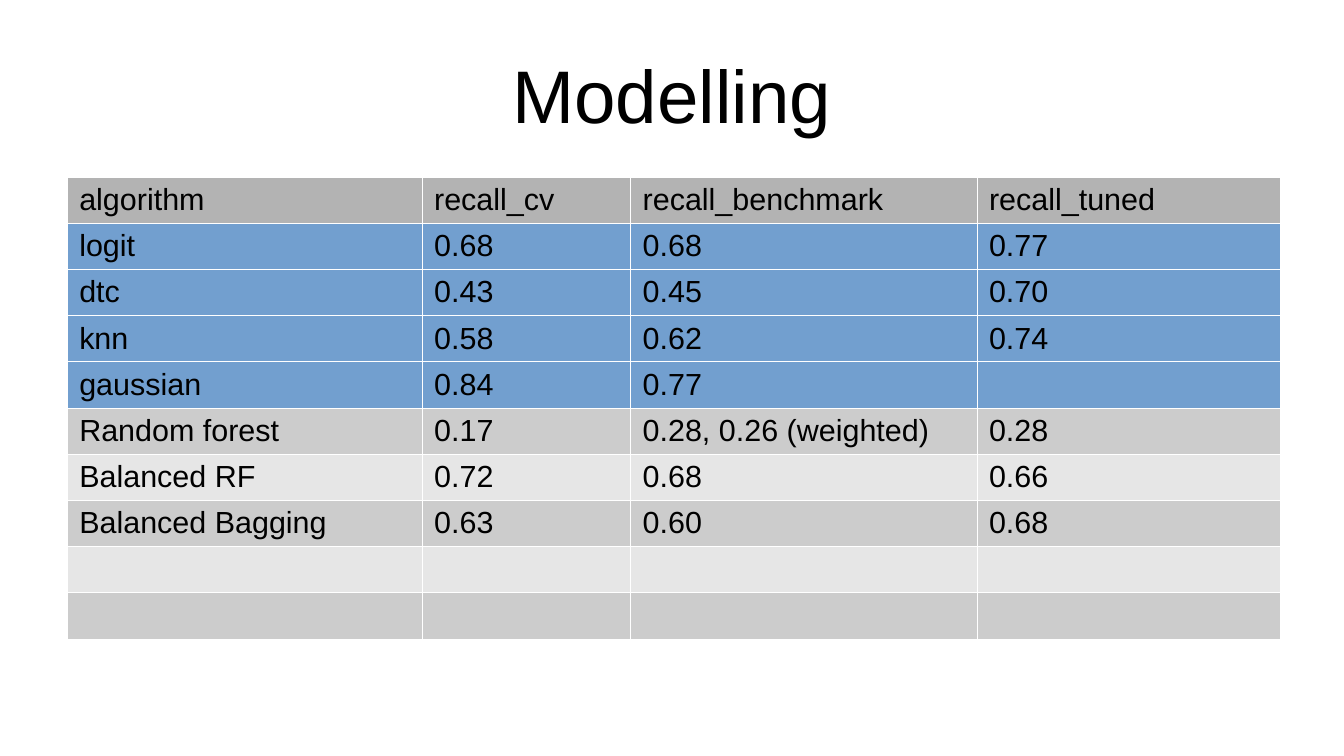
from lxml import etree
from pptx import Presentation
from pptx import util as u
from pptx.dml.color import RGBColor
from pptx.enum import text
from pptx.oxml.ns import qn

HEADER, BLUE, GREY, LIGHT = "B3B3B3", "729FCF", "CCCCCC", "E6E6E6"
BLACK, WHITE = "000000", "FFFFFF"
FONT, BODY_SIZE = "Arial", 18

COLUMN_WIDTHS = [2.91, 1.71, 2.84, 2.49]
RESULTS = [
    (HEADER, ["algorithm", "recall_cv", "recall_benchmark", "recall_tuned"]),
    (BLUE, ["logit", "0.68", "0.68", "0.77"]),
    (BLUE, ["dtc", "0.43", "0.45", "0.70"]),
    (BLUE, ["knn", "0.58", "0.62", "0.74"]),
    (BLUE, ["gaussian", "0.84", "0.77", ""]),
    (GREY, ["Random forest", "0.17", "0.28, 0.26 (weighted)", "0.28"]),
    (LIGHT, ["Balanced RF", "0.72", "0.68", "0.66"]),
    (GREY, ["Balanced Bagging", "0.63", "0.60", "0.68"]),
    (LIGHT, [""] * 4),
    (GREY, [""] * 4),
]


def colour(hex_string):
    return RGBColor.from_string(hex_string)


def write(frame, words, size=BODY_SIZE, align=text.PP_ALIGN.LEFT):
    paragraph = frame.paragraphs[0]
    paragraph.alignment = align
    if not words:
        # Keep the line height of an empty cell equal to its neighbours
        end = etree.SubElement(paragraph._p, qn("a:endParaRPr"), sz=str(size * 100))
        etree.SubElement(end, qn("a:latin"), typeface=FONT)
        return
    run = paragraph.add_run()
    run.text = words
    run.font.name = FONT
    run.font.size = u.Pt(size)
    run.font.color.rgb = colour(BLACK)


def border(cell, hex_string, width):
    properties = cell._tc.get_or_add_tcPr()
    for position, side in enumerate(("lnL", "lnR", "lnT", "lnB")):
        line = etree.Element(qn(f"a:{side}"), w=str(u.Pt(width)))
        fill = etree.SubElement(line, qn("a:solidFill"))
        etree.SubElement(fill, qn("a:srgbClr"), val=hex_string)
        properties.insert(position, line)


def add_title(slide, words, left, top, width, height):
    title = slide.shapes.title
    title.left, title.top = u.Inches(left), u.Inches(top)
    title.width, title.height = u.Inches(width), u.Inches(height)
    frame = title.text_frame
    frame.margin_left = frame.margin_right = frame.margin_top = frame.margin_bottom = 0
    frame.vertical_anchor = text.MSO_ANCHOR.MIDDLE
    write(frame, words, size=44, align=text.PP_ALIGN.CENTER)


def add_results(slide, left, top, width, height):
    table = slide.shapes.add_table(
        len(RESULTS), len(COLUMN_WIDTHS),
        u.Inches(left), u.Inches(top), u.Inches(width), u.Inches(height)).table
    for column, share in zip(table.columns, COLUMN_WIDTHS):
        column.width = u.Inches(width * share / sum(COLUMN_WIDTHS))
    for row, (fill, values) in zip(table.rows, RESULTS):
        row.height = u.Inches(height / len(RESULTS))
        for cell, value in zip(row.cells, values):
            cell.margin_left = cell.margin_right = u.Inches(0.1)
            cell.margin_top, cell.margin_bottom = u.Inches(0.05), u.Inches(0.04)
            cell.fill.solid()
            cell.fill.fore_color.rgb = colour(fill)
            border(cell, WHITE, 0.06)
            write(cell.text_frame, value)


def main():
    deck = Presentation()
    deck.slide_width, deck.slide_height = u.Inches(11.02), u.Inches(6.2)
    slide = deck.slides.add_slide(deck.slide_layouts[5])
    # Heading
    add_title(slide, "Modelling", 0.55, 0.25, 9.92, 1.03)
    # Recall of each algorithm
    add_results(slide, 0.55, 1.45, 9.95, 3.79)
    deck.save("out.pptx")


if __name__ == "__main__":
    main()
